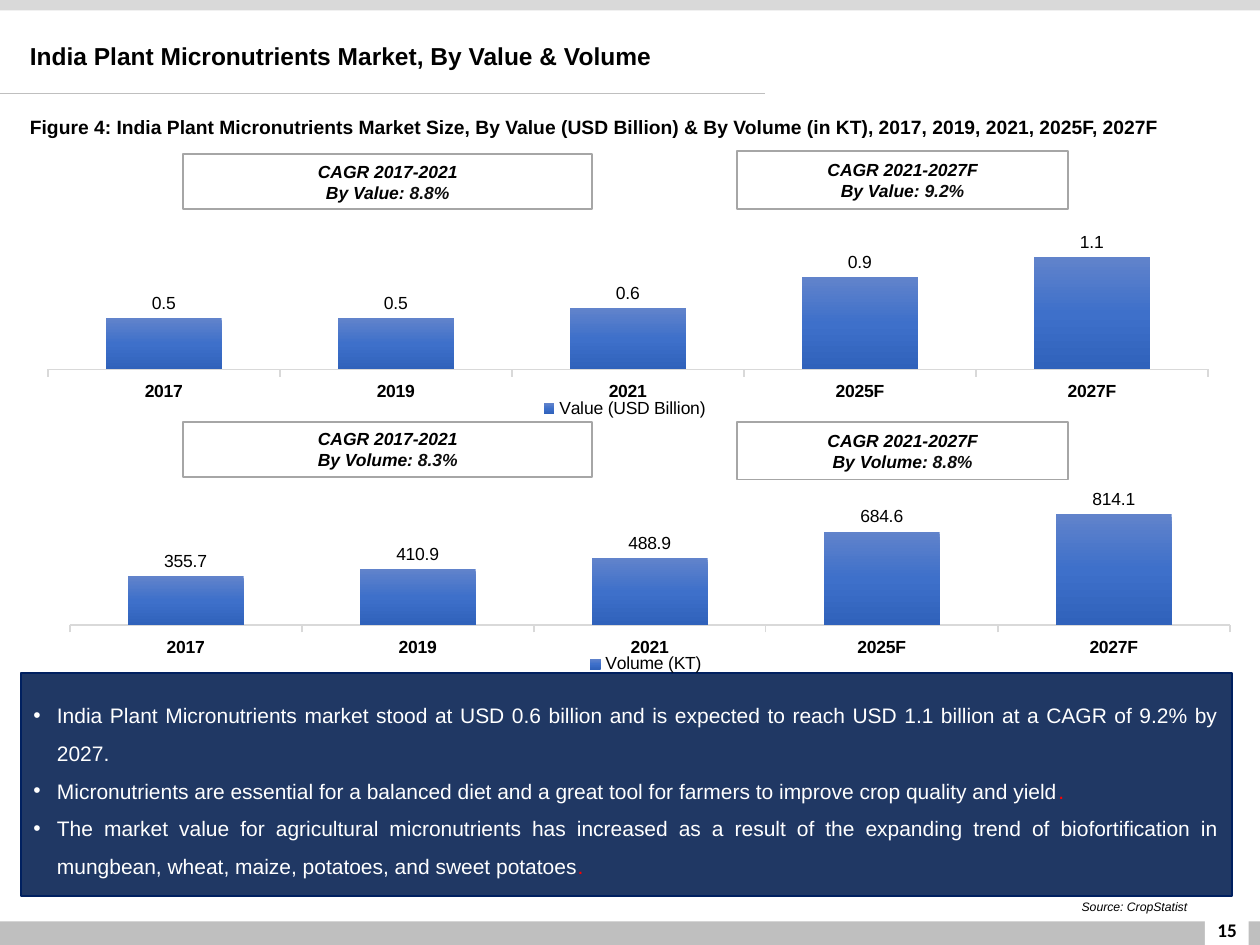
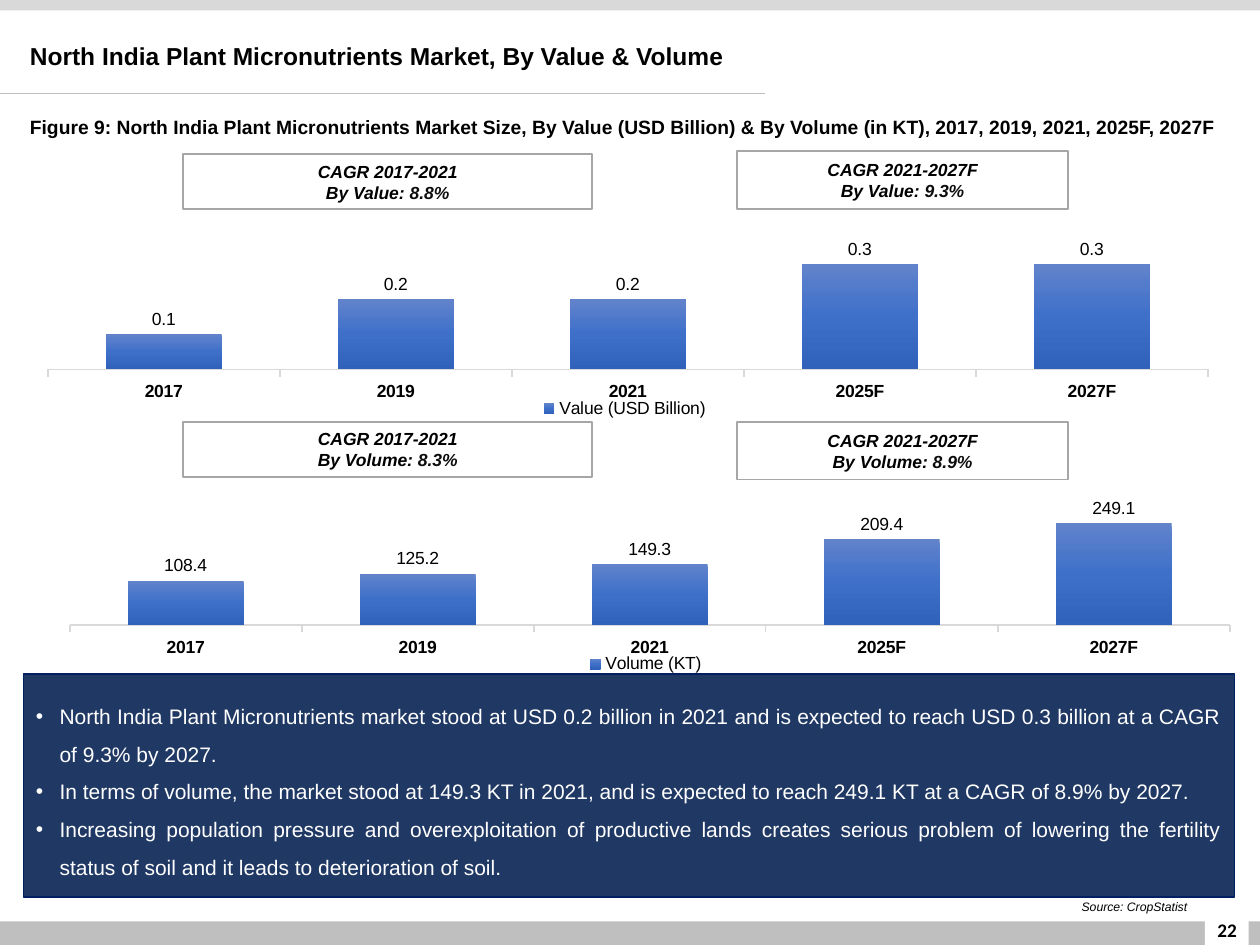
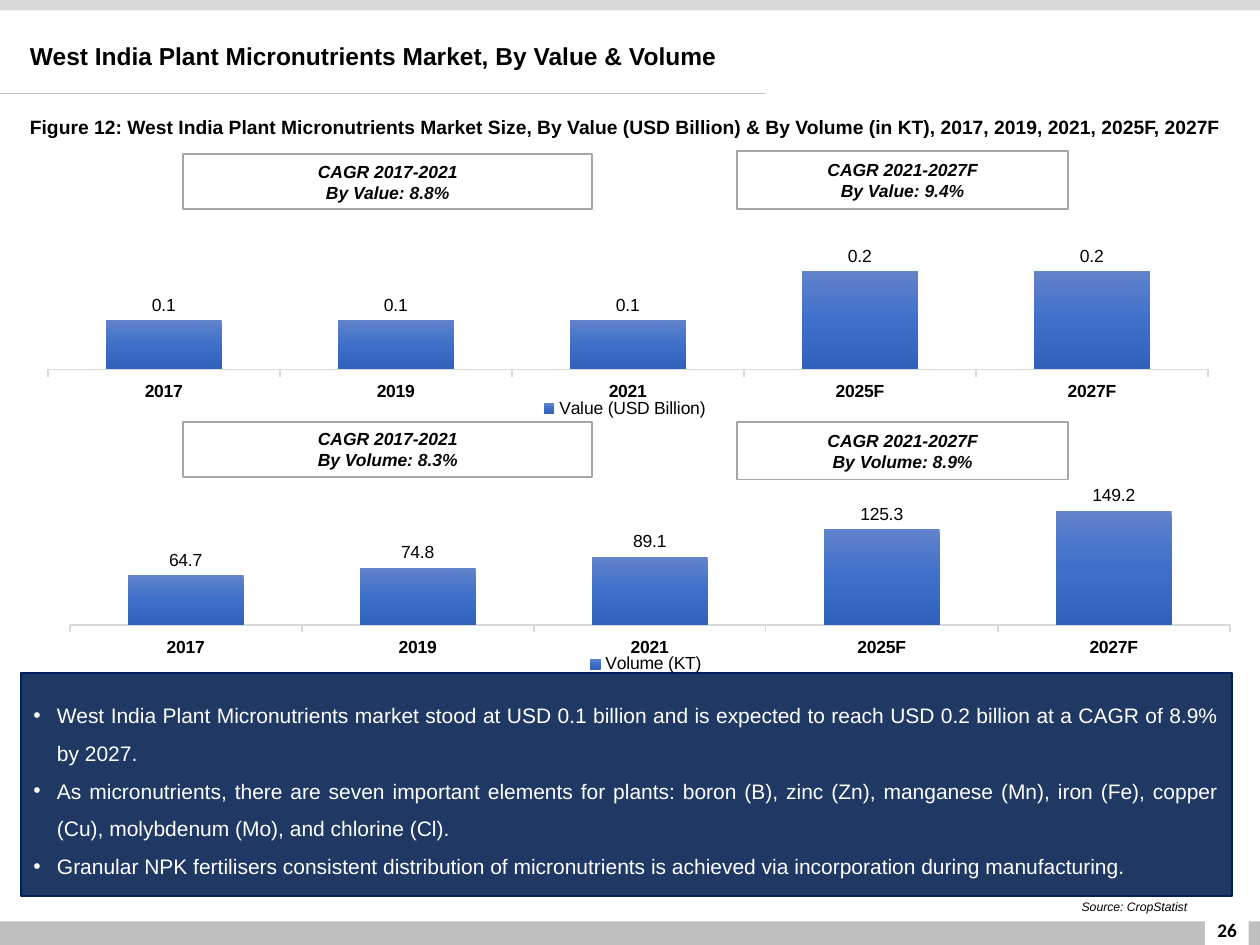
"""Builds three slides on the plant micronutrients market in India and its regions."""

from dataclasses import dataclass
from typing import NamedTuple

from lxml import etree
from pptx import Presentation
from pptx.chart.chart import Chart
from pptx.chart.data import CategoryChartData
from pptx.dml.color import RGBColor
from pptx.enum.chart import XL_CHART_TYPE, XL_LABEL_POSITION, XL_LEGEND_POSITION, XL_TICK_LABEL_POSITION, XL_TICK_MARK
from pptx.enum.shapes import MSO_CONNECTOR, MSO_SHAPE
from pptx.enum.text import MSO_ANCHOR, MSO_AUTO_SIZE, PP_ALIGN
from pptx.oxml.ns import qn
from pptx.shapes.base import BaseShape
from pptx.slide import Slide
from pptx.util import Pt

COLUMNS = XL_CHART_TYPE.COLUMN_CLUSTERED
OUTSIDE_END = XL_LABEL_POSITION.OUTSIDE_END
LEGEND_BOTTOM = XL_LEGEND_POSITION.BOTTOM
NO_LABELS = XL_TICK_LABEL_POSITION.NONE
TICK_OUT = XL_TICK_MARK.OUTSIDE
RECTANGLE = MSO_SHAPE.RECTANGLE
STRAIGHT = MSO_CONNECTOR.STRAIGHT
TOP, MIDDLE = MSO_ANCHOR.TOP, MSO_ANCHOR.MIDDLE
FIT_TEXT, FIXED = MSO_AUTO_SIZE.SHAPE_TO_FIT_TEXT, MSO_AUTO_SIZE.NONE
LEFT, CENTER, RIGHT, JUSTIFY = PP_ALIGN.LEFT, PP_ALIGN.CENTER, PP_ALIGN.RIGHT, PP_ALIGN.JUSTIFY


@dataclass(frozen=True)
class Theme:
    """Colours, fonts and type sizes of the deck."""

    ink: str = "000000"
    figure: str = "0D0D0D"
    paper: str = "FFFFFF"
    footer: str = "BFBFBF"
    header: str = "D9D9D9"
    box_line: str = "A6A6A6"
    panel: str = "203864"
    panel_line: str = "002060"
    accent: str = "FF0000"
    bars: tuple[str, ...] = ("6183CB", "3E70CA", "3062BB")
    font: str = "Arial"
    number_font: str = "Calibri"
    chart_font: str = "DejaVu Sans"
    title_size: float = 14
    panel_size: float = 12
    caption_size: float = 11
    label_size: float = 10
    chart_size: float = 9
    source_size: float = 7


class Area(NamedTuple):
    """Place and size in points."""

    left: float
    top: float
    width: float
    height: float


class Span(NamedTuple):
    """Stretch of text with its own colour."""

    text: str
    color: str | None = None


class Measure(NamedTuple):
    """One chart with the two growth rates shown above it."""

    values: tuple[float, ...]
    past_growth: str
    future_growth: str


class Row(NamedTuple):
    """What a chart row has in common on all slides."""

    name: str
    unit: str
    chart: Area
    legend_left: float
    past_box: Area
    future_box: Area


class Market(NamedTuple):
    """Content of one slide."""

    region: str
    page: int
    figure: int
    value: Measure
    volume: Measure
    panel: Area
    points: list[list[Span]]


THEME = Theme()
YEARS = ("2017", "2019", "2021", "2025F", "2027F")
PLOT = {"layoutTarget": "inner", "xMode": "edge", "yMode": "edge",
        "x": 0.025, "y": 0.255, "w": 0.958, "h": 0.488}
LEGEND_TOP = 0.84
PANEL = Area(12, 384.5, 692, 127.5)
STOP = Span(".", THEME.accent)
VALUE_ROW = Row("Value", "USD Billion", Area(10, 104.5, 692, 143.5), 0.43,
                Area(104.5, 88, 234, 31.5), Area(421, 86.5, 189.5, 33))
VOLUME_ROW = Row("Volume", "KT", Area(22.5, 250.5, 692, 143.5), 0.45,
                 Area(104.5, 241, 234, 31.5), Area(421, 241, 189.5, 33))

MARKETS = (
    Market(
        "India", 15, 4,
        Measure((0.5, 0.5, 0.6, 0.9, 1.1), "8.8%", "9.2%"),
        Measure((355.7, 410.9, 488.9, 684.6, 814.1), "8.3%", "8.8%"),
        PANEL,
        [
            [Span("India Plant Micronutrients market stood at USD 0.6 billion and is expected to reach "
                  "USD 1.1 billion at a CAGR of 9.2% by 2027.")],
            [Span("Micronutrients are essential for a balanced diet and a great tool for farmers to "
                  "improve crop quality and yield"), STOP],
            [Span("The market value for agricultural micronutrients has increased as a result of the "
                  "expanding trend of biofortification in mungbean, wheat, maize, potatoes, and sweet "
                  "potatoes"), STOP],
        ],
    ),
    Market(
        "North India", 22, 9,
        Measure((0.1, 0.2, 0.2, 0.3, 0.3), "8.8%", "9.3%"),
        Measure((108.4, 125.2, 149.3, 209.4, 249.1), "8.3%", "8.9%"),
        PANEL._replace(left=13.5, top=385),
        [
            [Span("North India Plant Micronutrients market stood at USD 0.2 billion in 2021 and is "
                  "expected to reach USD 0.3 billion at a CAGR of 9.3% by 2027.")],
            [Span("In terms of volume, the market stood at 149.3 KT in 2021, and is expected to reach "
                  "249.1 KT at a CAGR of 8.9% by 2027.")],
            [Span("Increasing population pressure and overexploitation of productive lands creates "
                  "serious problem of lowering the fertility status of soil and it leads to "
                  "deterioration of soil.")],
        ],
    ),
    Market(
        "West India", 26, 12,
        Measure((0.1, 0.1, 0.1, 0.2, 0.2), "8.8%", "9.4%"),
        Measure((64.7, 74.8, 89.1, 125.3, 149.2), "8.3%", "8.9%"),
        PANEL,
        [
            [Span("West India Plant Micronutrients market stood at USD 0.1 billion and is expected to "
                  "reach USD 0.2 billion at a CAGR of 8.9% by 2027.")],
            [Span("As micronutrients, there are seven important elements for plants: boron (B), zinc "
                  "(Zn), manganese (Mn), iron (Fe), copper (Cu), molybdenum (Mo), and chlorine (Cl).")],
            [Span("Granular NPK fertilisers consistent distribution of micronutrients is achieved via "
                  "incorporation during manufacturing.")],
        ],
    ),
)


def rgb(color: str) -> RGBColor:
    """Turn a hex string into a colour."""
    return RGBColor.from_string(color)


def points(area: Area) -> list[Pt]:
    """Turn an area into lengths."""
    return [Pt(length) for length in area]


def set_font(font, size: float, *, name: str = THEME.font, color: str = THEME.ink,
             bold: bool = False, italic: bool = False) -> None:
    """Set all traits of a font."""
    font.name, font.size, font.bold, font.italic = name, Pt(size), bold, italic
    font.color.rgb = rgb(color)


def add_bullet(para) -> None:
    """Give a paragraph a hanging bullet."""
    properties = para._p.get_or_add_pPr()
    properties.set("marL", str(Pt(13.5)))
    properties.set("indent", str(-Pt(13.5)))
    etree.SubElement(properties, qn("a:buFont"), typeface="Arial")
    etree.SubElement(properties, qn("a:buChar"), char="•")


def write_text(box: BaseShape, paragraphs: list[list[Span]], *, size: float, name: str = THEME.font,
               color: str = THEME.ink, bold: bool = False, italic: bool = False,
               align: PP_ALIGN = LEFT, anchor: MSO_ANCHOR = MIDDLE, spacing: float = 1.0,
               bullets: bool = False, fit: MSO_AUTO_SIZE = FIXED) -> None:
    """Fill a box with formatted paragraphs."""
    frame = box.text_frame
    frame.word_wrap, frame.auto_size, frame.vertical_anchor = True, fit, anchor
    for index, spans in enumerate(paragraphs):
        para = frame.add_paragraph() if index else frame.paragraphs[0]
        if bullets:
            add_bullet(para)
        para.alignment, para.line_spacing = align, spacing
        for span in spans:
            run = para.add_run()
            run.text = span.text
            set_font(run.font, size, name=name, color=span.color or color, bold=bold, italic=italic)


def add_label(page: Slide, area: Area, text: str, **style) -> None:
    """Add a text box with one paragraph."""
    write_text(page.shapes.add_textbox(*points(area)), [[Span(text)]], **style)


def add_box(page: Slide, area: Area, fill: str, line: str | None = None) -> BaseShape:
    """Add a flat rectangle."""
    box = page.shapes.add_shape(RECTANGLE, *points(area))
    box.shadow.inherit = False
    box.fill.solid()
    box.fill.fore_color.rgb = rgb(fill)
    if line:
        box.line.color.rgb = rgb(line)
        box.line.width = Pt(1)
    else:
        box.line.fill.background()
    return box


def add_frame(page: Slide, number: int, title: str) -> None:
    """Draw the bands, page number, rule and title of a slide."""
    add_box(page, Area(-3, 526.5, 723.5, 13.5), THEME.footer)
    add_box(page, Area(0, 0, 721.5, 6), THEME.header)
    add_box(page, Area(688.5, 513.5, 25, 27), THEME.paper)
    add_label(page, Area(683.5, 517, 35.5, 29), str(number), size=THEME.caption_size,
              name=THEME.number_font, bold=True, align=CENTER)
    rule = page.shapes.add_connector(STRAIGHT, Pt(0), Pt(53.5), Pt(437), Pt(53.5))
    rule.line.color.rgb = rgb(THEME.footer)
    rule.line.width = Pt(0.5)
    etree.SubElement(rule._element.spPr, qn("a:effectLst"))
    add_label(page, Area(10, 15, 584, 36), title, size=THEME.title_size, bold=True, spacing=0.9)


def shade_bars(chart: Chart) -> None:
    """Fill the columns with a vertical gradient."""
    fill = chart.plots[0].series[0].format.fill
    fill.gradient()
    fill.gradient_angle = 270
    stops = next(chart.element.iter(qn("a:gsLst")))
    for stop in list(stops):
        stops.remove(stop)
    for index, color in enumerate(THEME.bars):
        stop = etree.SubElement(stops, qn("a:gs"), pos=str(index * 50000))
        etree.SubElement(stop, qn("a:srgbClr"), val=color)


def set_layout(parent, position: int, settings: dict[str, str | float]) -> None:
    """Give a chart part a manual layout as its child at a position."""
    for old_layout in parent.findall(qn("c:layout")):
        parent.remove(old_layout)
    layout = etree.Element(qn("c:layout"))
    parent.insert(position, layout)
    manual = etree.SubElement(layout, qn("c:manualLayout"))
    for tag, setting in settings.items():
        etree.SubElement(manual, qn(f"c:{tag}"), val=str(setting))


def place_parts(chart: Chart, legend_left: float) -> None:
    """Fix the plot and the legend and leave the chart background clear."""
    set_layout(next(chart.element.iter(qn("c:plotArea"))), 0, PLOT)
    set_layout(next(chart.element.iter(qn("c:legend"))), 1,
               {"xMode": "edge", "yMode": "edge", "x": legend_left, "y": LEGEND_TOP})
    background = etree.Element(qn("c:spPr"))
    etree.SubElement(background, qn("a:noFill"))
    outline = etree.SubElement(background, qn("a:ln"))
    etree.SubElement(outline, qn("a:noFill"))
    chart.element.find(qn("c:chart")).addnext(background)


def add_column_chart(page: Slide, row: Row, values: tuple[float, ...]) -> None:
    """Add a column chart of one measure by year."""
    data = CategoryChartData(number_format="0.0")
    data.categories = YEARS
    data.add_series(f"{row.name} ({row.unit})", values)
    chart = page.shapes.add_chart(COLUMNS, *points(row.chart), data).chart
    chart.has_title = False
    set_font(chart.font, THEME.chart_size, name=THEME.chart_font)

    chart.has_legend = True
    chart.legend.position = LEGEND_BOTTOM
    chart.legend.include_in_layout = False
    set_font(chart.legend.font, THEME.label_size)

    years = chart.category_axis
    years.major_tick_mark = TICK_OUT
    years.format.line.color.rgb = rgb(THEME.header)
    years.format.line.width = Pt(1)
    set_font(years.tick_labels.font, THEME.label_size, bold=True)

    amounts = chart.value_axis
    amounts.has_major_gridlines = False
    amounts.major_tick_mark = TICK_OUT
    amounts.tick_label_position = NO_LABELS
    amounts.minimum_scale = 0
    amounts.format.line.fill.background()

    plot = chart.plots[0]
    plot.gap_width = 100
    plot.vary_by_categories = False
    plot.has_data_labels = True
    labels = plot.data_labels
    labels.show_value = True
    labels.position = OUTSIDE_END
    labels.number_format, labels.number_format_is_linked = "0.0", False
    set_font(labels.font, THEME.label_size)
    shade_bars(chart)
    place_parts(chart, row.legend_left)


def add_row(page: Slide, row: Row, measure: Measure) -> None:
    """Add a chart and its two growth boxes."""
    add_column_chart(page, row, measure.values)
    growth_boxes = (
        (row.past_box, "2017-2021", measure.past_growth),
        (row.future_box, "2021-2027F", measure.future_growth),
    )
    for area, period, growth in growth_boxes:
        lines = [[Span(f"CAGR {period}")], [Span(f"By {row.name}: "), Span(growth, THEME.figure)]]
        write_text(add_box(page, area, THEME.paper, THEME.box_line), lines,
                   size=THEME.label_size, bold=True, italic=True, align=CENTER)


def add_market(page: Slide, market: Market) -> None:
    """Draw one market slide."""
    subject = f"{market.region} Plant Micronutrients Market"
    add_frame(page, market.page, f"{subject}, By Value & Volume")
    write_text(add_box(page, market.panel, THEME.panel, THEME.panel_line), market.points,
               size=THEME.panel_size, color=THEME.paper, align=JUSTIFY, spacing=1.5, bullets=True)
    add_label(page, Area(571.5, 510.5, 114, 16), "Source: CropStatist", size=THEME.source_size,
              italic=True, align=RIGHT, anchor=TOP, fit=FIT_TEXT)
    caption = (f"Figure {market.figure}: {subject} Size, By Value (USD Billion) & "
               f"By Volume (in KT), {', '.join(YEARS)}")
    add_label(page, Area(10, 56, 740, 24.5), caption, size=THEME.caption_size, bold=True,
              anchor=TOP, spacing=1.5, fit=FIT_TEXT)
    add_row(page, VALUE_ROW, market.value)
    add_row(page, VOLUME_ROW, market.volume)


def main() -> None:
    """Build and save the deck."""
    deck = Presentation()
    deck.slide_width, deck.slide_height = Pt(720), Pt(540)
    blank = deck.slide_layouts[6]
    for market in MARKETS:
        add_market(deck.slides.add_slide(blank), market)
    deck.save("out.pptx")


if __name__ == "__main__":
    main()
